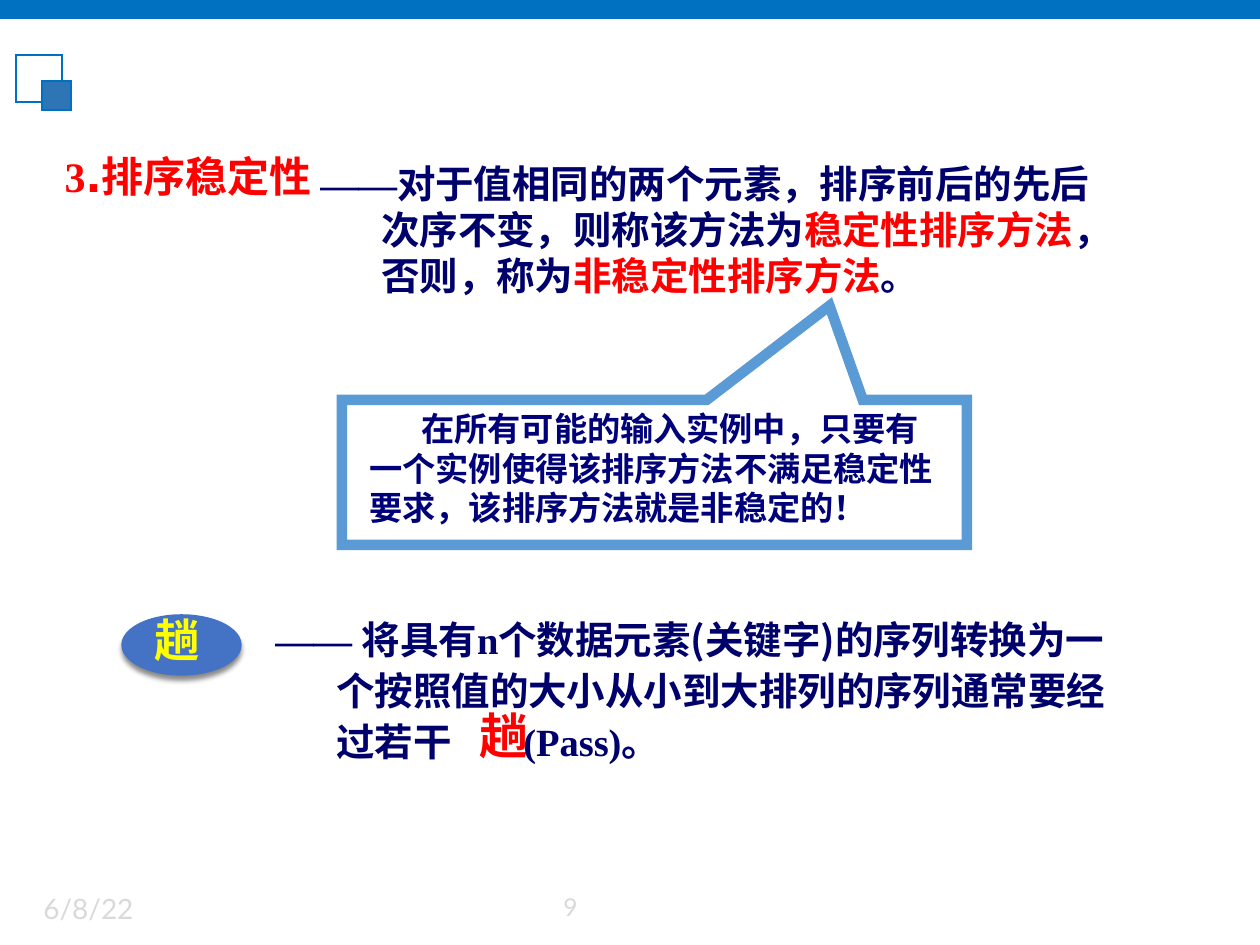
from dataclasses import dataclass

import pptx
import pptx.dml.color
import pptx.enum.shapes
import pptx.enum.text
import pptx.oxml
import pptx.oxml.ns
import pptx.util
from pptx.dml.color import RGBColor

PX = 914400 // 126  # EMU in one px

BLUE = RGBColor(0x00, 0x70, 0xC0)
MARK_BLUE = RGBColor(0x2E, 0x75, 0xB6)
CALLOUT_BLUE = RGBColor(0x5B, 0x9B, 0xD5)
OVAL_BLUE = RGBColor(0x44, 0x72, 0xC4)
NAVY = RGBColor(0x00, 0x00, 0x6C)
CALLOUT_NAVY = RGBColor(0x00, 0x00, 0x7A)
RED = RGBColor(0xFF, 0x00, 0x00)
YELLOW = RGBColor(0xFF, 0xFF, 0x00)
GREY = RGBColor(0xD9, 0xD9, 0xD9)

SANS, SERIF, SYMBOL, FOOTER = "Noto Sans CJK SC", "Times New Roman", "DejaVu Sans", "Lato"
SHAPES = pptx.enum.shapes.MSO_SHAPE


@dataclass(frozen=True)
class Area:
    left: int
    top: int
    width: int
    height: int

    def emu(self) -> list[int]:
        return [value * PX for value in (self.left, self.top, self.width, self.height)]


@dataclass(frozen=True)
class Span:
    text: str
    font: str = SANS
    color: RGBColor = NAVY


@dataclass(frozen=True)
class Line:
    spans: tuple[Span, ...]
    margin: int = 0
    indent: int = 0


def write_lines(box, lines: list[Line], *, size: float, bold: bool = True,
                pitch: float | None = None, wrap: bool = True) -> None:
    """Fill a box with paragraphs; pitch is the line distance in points."""
    frame = box.text_frame
    frame.word_wrap = wrap
    frame.vertical_anchor = pptx.enum.text.MSO_ANCHOR.TOP
    for index, line in enumerate(lines):
        para = frame.add_paragraph() if index else frame.paragraphs[0]
        para.alignment = pptx.enum.text.PP_ALIGN.LEFT
        para.space_before = pptx.util.Pt(0)
        para.line_spacing = pptx.util.Pt(pitch) if pitch else 1.0
        properties = para._p.get_or_add_pPr()
        properties.set("marL", str(line.margin * PX))
        properties.set("indent", str(line.indent * PX))
        for span in line.spans:
            run = para.add_run()
            run.text = span.text
            run.font.size = pptx.util.Pt(size)
            run.font.bold = bold
            run.font.name = span.font
            run.font.color.rgb = span.color
            east = run._r.get_or_add_rPr().makeelement(
                pptx.oxml.ns.qn("a:ea"), {"typeface": span.font})
            run.font._rPr.find(pptx.oxml.ns.qn("a:latin")).addnext(east)


def add_text(slide, area: Area, lines: list[Line], **text_format) -> None:
    write_lines(slide.shapes.add_textbox(*area.emu()), lines, **text_format)


def add_shape(slide, kind, area: Area, *, fill: RGBColor | None = None,
              line: RGBColor | None = None, weight: float = 1.5):
    shape = slide.shapes.add_shape(kind, *area.emu())
    shape.shadow.inherit = False
    if fill is None:
        shape.fill.background()
    else:
        shape.fill.solid()
        shape.fill.fore_color.rgb = fill
    if line is None:
        shape.line.fill.background()
    else:
        shape.line.color.rgb = line
        shape.line.width = pptx.util.Pt(weight)
        # Sharp corners
        shape.line._get_or_add_ln().append(pptx.oxml.parse_xml(
            f'<a:miter {pptx.oxml.ns.nsdecls("a")} lim="800000"/>'))
    return shape


def add_soft_shadow(shape) -> None:
    effects = shape._element.spPr.find(pptx.oxml.ns.qn("a:effectLst"))
    effects.append(pptx.oxml.parse_xml(
        f'<a:outerShdw {pptx.oxml.ns.nsdecls("a")} blurRad="38100" dist="30480" '
        'dir="5400000"><a:srgbClr val="000000"><a:alpha val="45000"/></a:srgbClr>'
        '</a:outerShdw>'))


def main() -> None:
    deck = pptx.Presentation()
    deck.slide_width, deck.slide_height = pptx.util.Inches(10), pptx.util.Inches(7.5)
    slide = deck.slides.add_slide(deck.slide_layouts[5])

    # Top band and corner mark
    add_shape(slide, SHAPES.RECTANGLE, Area(0, 0, 1260, 19), fill=BLUE)
    add_shape(slide, SHAPES.RECTANGLE, Area(16, 55, 46, 47), line=BLUE)
    add_shape(slide, SHAPES.RECTANGLE, Area(42, 81, 29, 29), fill=MARK_BLUE, line=BLUE)

    # Footer
    add_text(slide, Area(31, 885, 232, 50), [Line((Span("6/8/22", FOOTER, GREY),))],
             size=16, bold=False)
    add_text(slide, Area(551, 886, 78, 48), [Line((Span("9", FOOTER, GREY),))],
             size=14, bold=False)

    # Title
    title = slide.shapes.title
    title.left, title.top, title.width, title.height = Area(52, 144, 427, 63).emu()
    write_lines(title, [Line((Span("3", SERIF, RED), Span(".排序稳定性", SYMBOL, RED)))],
                size=24, wrap=False)

    # Definition of stability
    add_text(slide, Area(272, 154, 963, 152), [
        Line((Span("——", SERIF), Span("对于值相同的两个元素，排序前后的先后")), 97, -61),
        Line((Span("次序不变，则称该方法为"), Span("稳定性排序方法", color=RED), Span("，")), 97),
        Line((Span("否则，称为"), Span("非稳定性排序方法", color=RED), Span("。")), 97),
    ], size=22, pitch=26.3)

    # Callout
    callout = add_shape(slide, SHAPES.RECTANGULAR_CALLOUT, Area(342, 400, 625, 145),
                        line=CALLOUT_BLUE, weight=6)
    callout.adjustments[0], callout.adjustments[1] = 0.28, -1.15
    remarks = ("在所有可能的输入实例中，只要有",
               "一个实例使得该排序方法不满足稳定性",
               "要求，该排序方法就是非稳定的！")
    add_text(slide, Area(357, 402, 684, 134),
             [Line((Span(remark, color=CALLOUT_NAVY),), indent=0 if index else 52)
              for index, remark in enumerate(remarks)], size=19, pitch=22.7)

    # Definition of a pass, with its key word set larger in the last line
    add_text(slide, Area(263, 605, 922, 165), [
        Line((Span("—— ", SERIF), Span("将具有"), Span("n", SERIF),
              Span("个数据元素(关键字)的序列转换为一")), 61, -61),
        Line((Span("个按照值的大小从小到大排列的序列通常要经"),), 61),
        Line((Span("过若干"),), 61),
    ], size=22, pitch=29.1)
    add_text(slide, Area(467, 699, 60, 72), [Line((Span("趟", SYMBOL, RED),))],
             size=28, wrap=False)
    add_text(slide, Area(511, 707, 200, 63),
             [Line((Span("(Pass)", SERIF), Span("。")))], size=22, pitch=29.1)

    # Oval label
    oval = add_shape(slide, SHAPES.OVAL, Area(122, 615, 119, 60),
                     fill=OVAL_BLUE, line=OVAL_BLUE, weight=0.79)
    add_soft_shadow(oval)
    add_text(slide, Area(142, 606, 131, 67), [Line((Span("趟", SYMBOL, YELLOW),))], size=26)

    deck.save("out.pptx")


if __name__ == "__main__":
    main()
